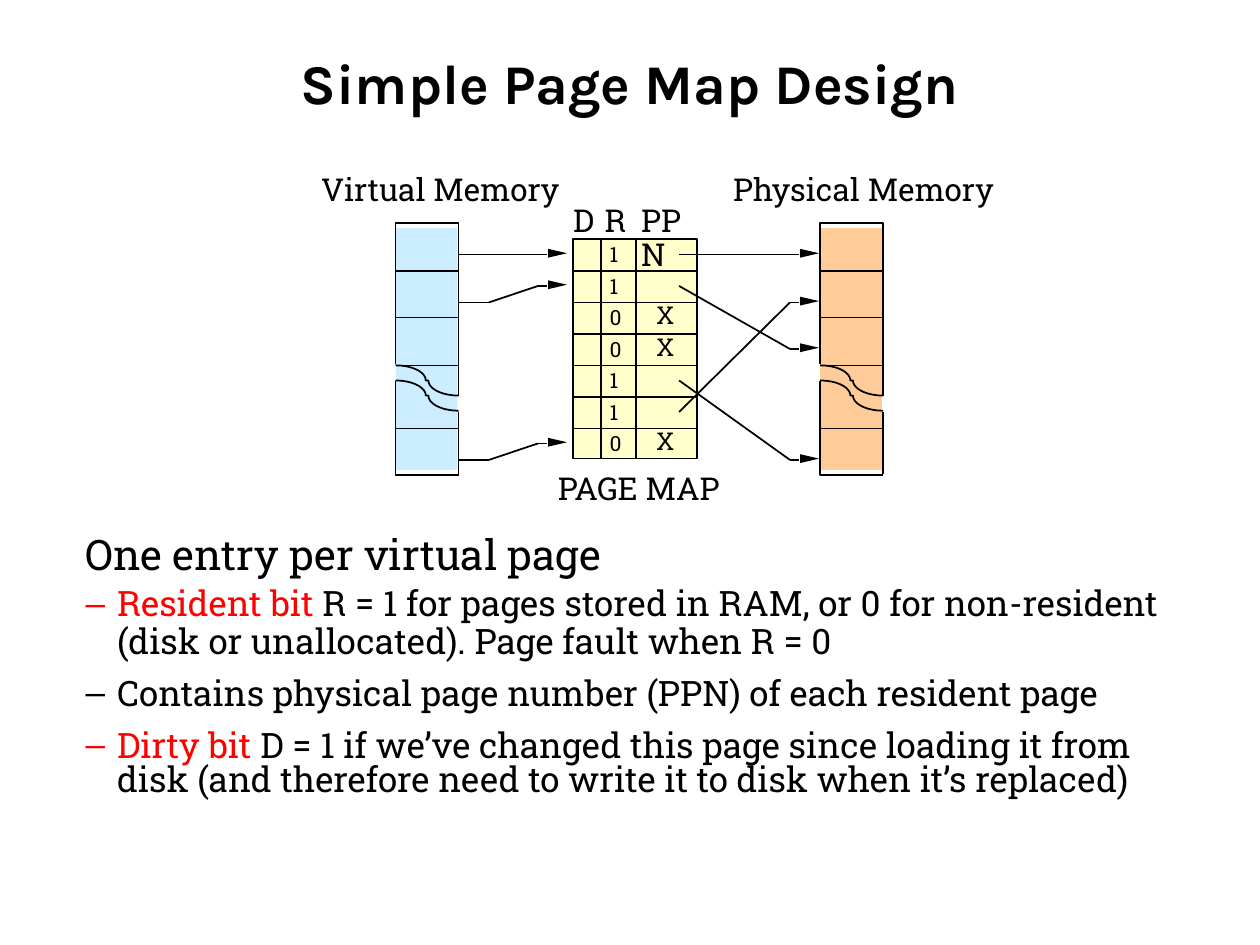
import math

import pptx
import pptx.dml.color
import pptx.enum.shapes
import pptx.enum.text
import pptx.oxml
import pptx.oxml.ns
import pptx.util
from pptx.util import Inches

RGBColor = pptx.dml.color.RGBColor
BLACK = RGBColor(0x00, 0x00, 0x00)
RED = RGBColor(0xFF, 0x00, 0x00)
BLUE = RGBColor(0xCC, 0xEC, 0xFF)
ORANGE = RGBColor(0xFF, 0xCC, 0x99)
YELLOW = RGBColor(0xFF, 0xFF, 0xCC)
TITLE_FONT = "Karla"
TEXT_FONT = "Roboto Slab"

MAP_LEFT, MAP_RIGHT, MAP_TOP, ROW = 4.55, 5.53, 1.9, 0.25
RESIDENT_BITS = "1100110"


class PageBuilder:
    def __init__(self, deck):
        self.page = deck.slides.add_slide(deck.slide_layouts[1])
        self.shapes = self.page.shapes

    def style(self, span, size, color=BLACK, font=TEXT_FONT, bold=False):
        span.font.name = font
        span.font.size = pptx.util.Pt(size)
        span.font.bold = bold
        span.font.color.rgb = color

    def place(self, box, left, top, width, height):
        box.left, box.top = Inches(left), Inches(top)
        box.width, box.height = Inches(width), Inches(height)

    def title(self, text):
        box = self.shapes.title
        self.place(box, 0.5, 0.3, 9, 0.7)
        box.text_frame.text = text
        box.text_frame.vertical_anchor = pptx.enum.text.MSO_ANCHOR.MIDDLE
        para = box.text_frame.paragraphs[0]
        para.alignment = pptx.enum.text.PP_ALIGN.CENTER
        self.style(para.runs[0], 32, font=TITLE_FONT, bold=True)

    def body(self, heading, items):
        """Items are (key term, remaining text, line spacing, space before)."""
        box = self.page.placeholders[1]
        self.place(box, 0.58, 4.19, 9, 3.15)
        frame = box.text_frame
        frame.auto_size = pptx.enum.text.MSO_AUTO_SIZE.NONE
        frame.text = heading
        para = frame.paragraphs[0]
        self.bullet(para, 0)
        para.line_spacing = 0.9
        para.space_before = pptx.util.Pt(0)
        self.style(para.runs[0], 24)
        for term, text, spacing, before in items:
            para = frame.add_paragraph()
            para.level = 1
            self.bullet(para, 0.25, "–", RED if term else BLACK)
            para.line_spacing = spacing
            para.space_before = pptx.util.Pt(before)
            for words, color in ((term, RED), (text, BLACK)):
                if words:
                    span = para.add_run()
                    span.text = words
                    self.style(span, 20, color)

    def bullet(self, para, indent, mark=None, color=BLACK):
        props = para._p.get_or_add_pPr()
        props.set("marL", str(Inches(indent)))
        props.set("indent", str(-Inches(indent)))
        if mark is None:
            pptx.oxml.ns.qn("a:buNone")
            props.append(pptx.oxml.parse_xml(
                f'<a:buNone {pptx.oxml.ns.nsdecls("a")}/>'))
            return
        for tag in (f'<a:buClr {{}}><a:srgbClr val="{color}"/></a:buClr>',
                    f'<a:buChar {{}} char="{mark}"/>'):
            props.append(pptx.oxml.parse_xml(
                tag.format(pptx.oxml.ns.nsdecls("a"))))

    def label(self, text, left, top, width, height, size):
        box = self.shapes.add_textbox(Inches(left), Inches(top),
                                      Inches(width), Inches(height))
        frame = box.text_frame
        frame.word_wrap = False
        frame.auto_size = pptx.enum.text.MSO_AUTO_SIZE.SHAPE_TO_FIT_TEXT
        frame.text = text
        frame.paragraphs[0].line_spacing = 0.9
        self.style(frame.paragraphs[0].runs[0], size)

    def outline(self, shape, shown):
        if shown:
            shape.line.color.rgb = BLACK
            shape.line.width = pptx.util.Pt(1)
        else:
            shape.line.fill.background()

    def paint(self, shape, fill, lined):
        shape.shadow.inherit = False
        if fill is None:
            shape.fill.background()
        else:
            shape.fill.solid()
            shape.fill.fore_color.rgb = fill
        self.outline(shape, lined)

    def rectangle(self, left, top, width, height, fill, lined=False):
        shape = self.shapes.add_shape(
            pptx.enum.shapes.MSO_SHAPE.RECTANGLE, Inches(left), Inches(top),
            Inches(width), Inches(height))
        self.paint(shape, fill, lined)

    def line(self, start, end):
        connector = self.shapes.add_connector(
            pptx.enum.shapes.MSO_CONNECTOR.STRAIGHT,
            *(Inches(value) for value in (*start, *end)))
        self.outline(connector, True)
        connector._element.spPr.append(pptx.oxml.parse_xml(
            f'<a:effectLst {pptx.oxml.ns.nsdecls("a")}/>'))

    def freeform(self, points, fill=None):
        """Draw an open outline, or a closed unlined area if filled."""
        points = [(Inches(x), Inches(y)) for x, y in points]
        builder = self.shapes.build_freeform(*points[0], scale=1.0)
        builder.add_line_segments(points[1:], close=fill is not None)
        self.paint(builder.convert_to_shape(), fill, fill is None)

    def arrow(self, start, left, y):
        """Draw a line to (left, y), a short level stub and a solid head."""
        self.line(start, (left, y))
        self.line((left, y), (left + 0.07, y))
        base, middle = left + 0.08, y - 0.01
        self.freeform([(base + 0.15, middle), (base, middle + 0.035),
                       (base, middle - 0.035)], BLACK)

    def memory(self, left):
        """Draw a column of pages torn open in the middle."""
        right = left + 0.5
        self.freeform([(left, 2.89), (left, 1.77), (right, 1.77), (right, 3.14)])
        angles = [math.radians(step) for step in range(0, 91, 10)]
        for top in (2.9, 3.02):
            middle = top + 0.12
            upper = [(left + 0.24 * math.sin(a), middle - 0.12 * math.cos(a))
                     for a in angles]
            lower = [(right - 0.24 * math.cos(a), middle + 0.12 * math.sin(a))
                     for a in angles]
            self.freeform(upper + lower)
        self.freeform([(left, 3.02), (left, 3.77), (right, 3.77)])
        self.line((right, 3.27), (right, 3.76))
        for y in (2.15, 2.52, 2.9, 3.4):
            self.line((left, y), (right, y))

    def page_map(self):
        rows = len(RESIDENT_BITS)
        bottom = MAP_TOP + rows * ROW - 0.01
        self.rectangle(MAP_LEFT, MAP_TOP, MAP_RIGHT - MAP_LEFT,
                       bottom - MAP_TOP, YELLOW, lined=True)
        for row in range(1, rows):
            y = MAP_TOP + row * ROW
            self.line((MAP_LEFT, y), (MAP_RIGHT, y))
        for x in (4.77, 5.05):
            self.line((x, MAP_TOP), (x, bottom))
        for row, bit in enumerate(RESIDENT_BITS):
            y = MAP_TOP + row * ROW
            self.label(bit, 4.74, y - 0.01, 0.3, 0.28, 12)
            if bit == "0":
                self.label("X", 5.11, y - 0.04, 0.34, 0.31, 14)


def main():
    deck = pptx.Presentation()
    deck.slide_width, deck.slide_height = Inches(10), Inches(7.5)
    builder = PageBuilder(deck)
    builder.title("Simple Page Map Design")
    builder.body("One entry per virtual page", [
        ("Resident bit", " R = 1 for pages stored in RAM, or 0 for non-resident "
         "(disk or unallocated). Page fault when R = 0", 0.9, 4),
        ("", "Contains physical page number (PPN) of each resident page",
         0.81, 10),
        ("Dirty bit ", "D = 1 if we’ve changed this page since loading it from "
         "disk (and therefore need to write it to disk when it’s replaced)",
         0.81, 10),
    ])
    for left, fill in ((3.14, BLUE), (6.51, ORANGE)):
        builder.rectangle(left, 1.81, 0.49, 1.92, fill)
        builder.memory(left)
    builder.page_map()
    for page_y, entry_y in ((2.02, 2.02), (2.4, 2.27), (3.65, 3.52)):
        builder.line((3.64, page_y), (3.88, page_y))
        builder.arrow((3.88, page_y), 4.27, entry_y)
    for entry_y, frame_y in ((2.02, 2.02), (2.27, 2.77), (3.02, 3.65), (3.27, 2.4)):
        builder.arrow((5.39, entry_y), 6.27, frame_y)
    for text, left, top, width in (
            ("Virtual Memory", 2.45, 1.33, 2.14),
            ("Physical Memory", 5.72, 1.33, 2.29),
            ("PAGE MAP", 4.33, 3.71, 1.55),
            ("D", 4.45, 1.58, 0.4),
            ("R", 4.7, 1.58, 0.38),
            ("PPN", 4.99, 1.58, 0.7)):
        builder.label(text, left, top, width, 0.38, 18)
    deck.save("out.pptx")


if __name__ == "__main__":
    main()
